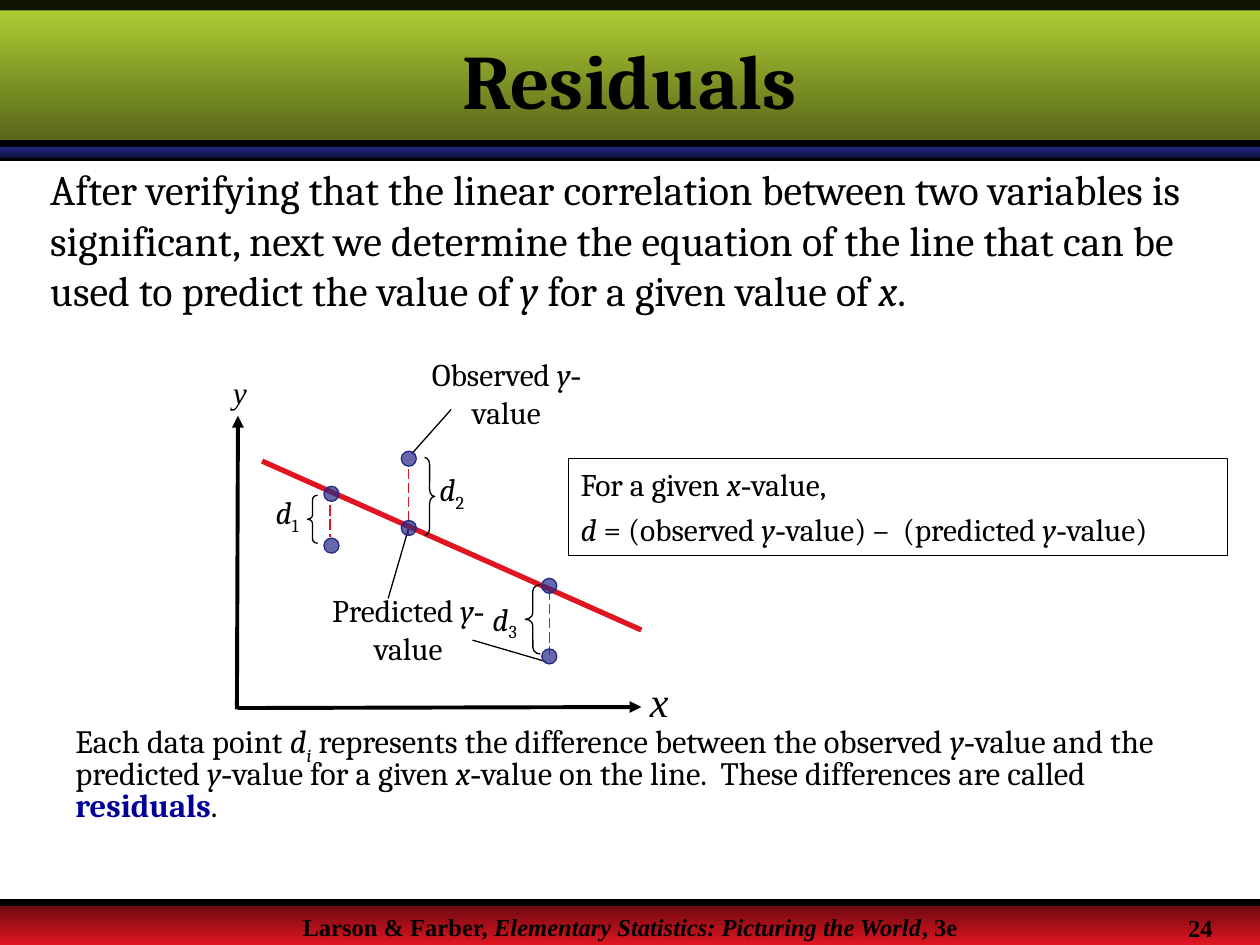
from lxml import etree
from pptx import Presentation
from pptx.dml import color
from pptx.enum import dml, shapes, text
from pptx.oxml import ns
from pptx.util import Pt

HUES = {
    "black": "000000", "white": "FFFFFF", "navy": "000099",
    "red": "E11521", "maroon": "67090F", "blue": "242985",
    "night": "10123D", "lime": "B5D335", "olive": "536118",
}
RGB = {name: color.RGBColor.from_string(hue) for name, hue in HUES.items()}
SERIF, ROMAN = "Cambria", "Times New Roman"
KIND = shapes.MSO_SHAPE

deck = Presentation()
deck.slide_width, deck.slide_height = Pt(720), Pt(540)
slide = deck.slides.add_slide(deck.slide_layouts[6])
pool = slide.shapes


def write(words, x, y, w, h, size=18, font=SERIF, bold=False, align="LEFT",
          gap=0, lead=None, anchor="TOP", wrap=True):
    box = pool.add_textbox(Pt(x), Pt(y), Pt(w), Pt(h))
    frame = box.text_frame
    frame.word_wrap = wrap
    frame.vertical_anchor = text.MSO_ANCHOR[anchor]
    for i, row in enumerate(words.split("\n")):
        para = frame.add_paragraph() if i else frame.paragraphs[0]
        para.alignment = text.PP_ALIGN[align]
        if lead:
            para.line_spacing = lead
        if i:
            para.space_before = Pt(gap)
        for bit in row.split("|"):
            plain = bit.lstrip("/_!")
            marks = bit[:len(bit) - len(plain)]
            run = para.add_run()
            run.text = plain
            run.font.size = Pt(size)
            run.font.name = ROMAN if plain == "-" else font
            run.font.bold = bold or "!" in marks
            run.font.italic = "/" in marks
            run.font.color.rgb = RGB["navy" if "!" in marks else "black"]
            if "_" in marks:
                run.font._element.set("baseline", "-25000")
    return box


def rule(x1, y1, x2, y2, hue="black", width=0.75, dash=False, arrow=False):
    line = pool.add_connector(shapes.MSO_CONNECTOR.STRAIGHT,
                              Pt(x1), Pt(y1), Pt(x2), Pt(y2))
    line.line.color.rgb = RGB[hue]
    line.line.width = Pt(width)
    if dash:
        line.line.dash_style = dml.MSO_LINE.LONG_DASH
    if arrow:
        tail = etree.SubElement(line.line._get_or_add_ln(), ns.qn("a:tailEnd"))
        tail.set("type", "triangle")
    etree.SubElement(line._element.spPr, ns.qn("a:effectLst"))


rule(0, 90, 720, 90, width=4)
for top, high, first, last in [
    (516, 24, "maroon", "red"),
    (84, 6, "blue", "night"),
    (0, 84, "lime", "olive"),
]:
    bar = pool.add_shape(KIND.RECTANGLE, 0, Pt(top), Pt(720), Pt(high))
    bar.shadow.inherit = False
    bar.line.fill.background()
    bar.fill.gradient()
    bar.fill.gradient_angle = 270
    for stop, place, hue in zip(bar.fill.gradient_stops, (0, 1), (first, last)):
        stop.position = place
        stop.color.rgb = RGB[hue]

strip = pool.add_shape(KIND.RECTANGLE, 0, 0, Pt(720), Pt(6))
strip.shadow.inherit = False
strip.line.fill.background()
strip.fill.solid()
strip.fill.fore_color.rgb = RGB["black"]
clear = strip._element.spPr.find(".//" + ns.qn("a:srgbClr"))
etree.SubElement(clear, ns.qn("a:alpha")).set("val", "90000")
for y in (82, 516):
    rule(0, y, 720, y, width=4)

write("Larson & Farber, |/Elementary Statistics: Picturing the World|, 3e",
      0, 517.5, 720, 14.5, size=14, font=ROMAN, bold=True, align="CENTER")
write("24", 671.8, 518.4, 48, 24.5, size=14, font=ROMAN, bold=True, wrap=False)
write("Residuals", 0, 6, 720, 78, size=44, bold=True, align="CENTER",
      anchor="MIDDLE")
write("After verifying that the linear correlation between two variables is "
      "significant, next we determine the equation of the line that can be "
      "used to predict the value of |/y| for a given value of |/x|.",
      21.6, 90, 660, 123, size=24)
write("Each data point |/d|/_i| represents the difference between the observed "
      "|/y|-|value and the predicted |/y|-|value for a given |/x|-|value on the "
      "line.  These differences are called |!residuals|.",
      36, 411, 660, 80.6, size=18.6, lead=0.8)

for x, y1, y2 in [(233.3, 267.8, 306), (188.6, 288.7, 306.7),
                  (313.9, 337, 374.4)]:
    rule(x, y1, x, y2, hue="red", dash=True)
for ends in [(221.8, 342, 234, 300.2), (257.8, 234, 235.4, 259.2),
             (270, 365.8, 311.8, 378)]:
    rule(*ends)
rule(149.8, 263.5, 366.5, 360, hue="red", width=3)
for ends in [(136, 404.6, 366.5, 404), (135.4, 405.4, 136, 237.6)]:
    rule(*ends, width=2.25, arrow=True)

SIDE = 8.6
for x, y in [(189.4, 311.8), (189.4, 282.2), (233.6, 262.1),
             (233.6, 301.7), (313.9, 334.8), (313.9, 375.1)]:
    dot = pool.add_shape(KIND.OVAL, Pt(x - SIDE / 2), Pt(y - SIDE / 2),
                         Pt(SIDE), Pt(SIDE))
    dot.shadow.inherit = False
    dot.fill.solid()
    dot.fill.fore_color.rgb = RGB["blue"]
    clear = dot._element.spPr.find(".//" + ns.qn("a:srgbClr"))
    etree.SubElement(clear, ns.qn("a:alpha")).set("val", "70000")
    dot.line.color.rgb = RGB["blue"]
    dot.line.width = Pt(0.75)

for kind, x, y, w, h, bend in [
    (KIND.LEFT_BRACE, 175.7, 283, 5.8, 27.4, 0.41),
    (KIND.RIGHT_BRACE, 242.6, 261.4, 5.8, 44.6, 0.69),
    (KIND.LEFT_BRACE, 300.2, 334.1, 8.6, 39.6, 0.42),
]:
    brace = pool.add_shape(kind, Pt(x), Pt(y), Pt(w), Pt(h))
    brace.shadow.inherit = False
    brace.adjustments[0] = bend
    brace.fill.background()
    brace.line.color.rgb = RGB["black"]
    brace.line.width = Pt(0.75)

for num, x, y in [(1, 150.5, 278), (2, 244, 265), (3, 274.3, 339.1)]:
    write(f"/d|_{num}", x, y, 31, 31.7, wrap=False)
for name, x, y, w, size in [("x", 364.3, 382.3, 42.5, 24),
                            ("y", 126, 209.5, 49.7, 18)]:
    write("/" + name, x, y, w, size * 1.5, size=size, font=ROMAN)
for name, x, y in [("Observed", 234.7, 199.4), ("Predicted", 178.6, 334.1)]:
    write(f"{name} |/y|-|value", x, y, 109.4, 50.4, align="CENTER")

note = write("For a given |/x|-|value,\n"
             "/d| = (observed |/y|-|value) –  (predicted |/y|-|value)",
             324.7, 262.1, 376.6, 55.4, gap=4.5)
note.fill.solid()
note.fill.fore_color.rgb = RGB["white"]
note.line.color.rgb = RGB["black"]
note.line.width = Pt(0.75)

deck.save("out.pptx")
